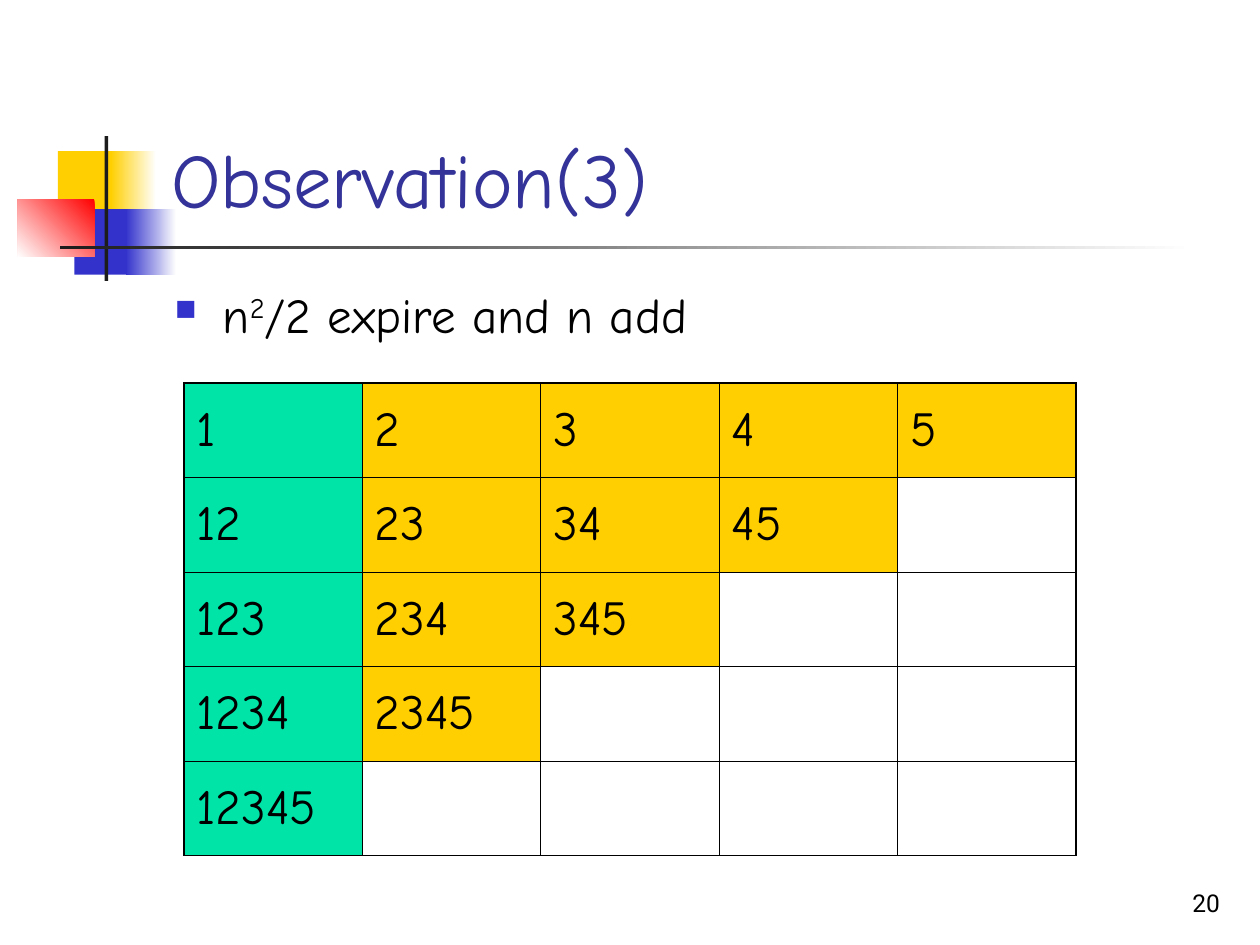
from dataclasses import dataclass

from lxml import etree
from pptx import Presentation
from pptx.dml.color import RGBColor
from pptx.enum.shapes import MSO_SHAPE
from pptx.enum.text import MSO_ANCHOR, PP_ALIGN
from pptx.oxml.ns import qn
from pptx.util import Inches, Pt

RECTANGLE = MSO_SHAPE.RECTANGLE
TOP, MIDDLE, BOTTOM = MSO_ANCHOR.TOP, MSO_ANCHOR.MIDDLE, MSO_ANCHOR.BOTTOM
LEFT, RIGHT = PP_ALIGN.LEFT, PP_ALIGN.RIGHT


@dataclass(frozen=True)
class Theme:
    """Colours, fonts and sizes of the slide."""
    yellow: str = "FFCF01"
    blue: str = "3333CC"
    red: str = "FF0000"
    green: str = "00E4A8"
    dark: str = "1C1C1C"
    white: str = "FFFFFF"
    black: str = "000000"
    title_color: str = "333399"
    font: str = "Comic Neue"
    number_font: str = "Roboto"
    title_size: int = 44
    body_size: int = 28
    number_size: int = 14
    outer_border: float = 1.08
    inner_border: float = 0.45


THEME = Theme()


def format_font(font, size, color=THEME.black, name=THEME.font):
    """Set the typeface, size and colour of a font."""
    font.name, font.size = name, Pt(size)
    font.color.rgb = RGBColor.from_string(color)


def add_block(slide, box, colors, angle=180):
    """Add a borderless rectangle with one colour or a two-colour gradient."""
    shape = slide.shapes.add_shape(RECTANGLE, *map(Inches, box))
    shape.shadow.inherit = False
    shape.line.fill.background()
    if len(colors) == 1:
        shape.fill.solid()
        shape.fill.fore_color.rgb = RGBColor.from_string(colors[0])
        return
    shape.fill.gradient()
    shape.fill.gradient_angle = angle
    for stop, color in zip(shape.fill.gradient_stops, colors):
        stop.color.rgb = RGBColor.from_string(color)


def add_text(slide, box, anchor):
    """Add an empty wrapped text box and return its first paragraph."""
    text_frame = slide.shapes.add_textbox(*map(Inches, box)).text_frame
    text_frame.word_wrap = True
    text_frame.vertical_anchor = anchor
    return text_frame.paragraphs[0]


def add_ornament(slide, box):
    """Add the coloured squares and the crossing bars beside the title."""
    left, top, width, height = box
    add_block(slide, (left + 0.32, top + 0.12, 0.48, 0.52), [THEME.yellow])
    add_block(slide, (left + 0.74, top + 0.12, 0.36, 0.52), [THEME.white, THEME.yellow])
    add_block(slide, (left + 0.45, top + 0.58, 0.46, 0.52), [THEME.blue])
    add_block(slide, (left + 0.86, top + 0.58, 0.4, 0.52), [THEME.white, THEME.blue])
    add_block(slide, (left, top + 0.5, 0.61, 0.46), [THEME.red, THEME.white], 225)
    add_block(slide, (left + 0.69, top, 0.03, height), [THEME.dark])
    add_block(slide, (left + 0.34, top + 0.87, width - 0.34, 0.03), [THEME.white, THEME.dark])


def add_line(slide, box, text, size, color, name, alignment):
    """Add one bottom-anchored line of text."""
    paragraph = add_text(slide, box, BOTTOM)
    paragraph.text = text
    paragraph.alignment = alignment
    format_font(paragraph.runs[0].font, size, color, name)


def add_bullet(slide, box):
    """Add the bulleted statement with its raised exponent."""
    paragraph = add_text(slide, box, TOP)
    properties = paragraph._p.get_or_add_pPr()
    properties.set("marL", str(Inches(0.38)))
    properties.set("indent", str(Inches(-0.38)))
    color = etree.SubElement(properties, qn("a:buClr"))
    etree.SubElement(color, qn("a:srgbClr"), val=THEME.blue)
    etree.SubElement(properties, qn("a:buSzPct"), val="60000")
    etree.SubElement(properties, qn("a:buChar"), char="■")
    for text, baseline in (("n", 0), ("2", 30000), ("/2 expire and n add", 0)):
        run = paragraph.add_run()
        run.text = text
        format_font(run.font, THEME.body_size)
        if baseline:
            run._r.get_or_add_rPr().set("baseline", str(baseline))


def set_borders(cell, outer_sides):
    """Draw the cell's borders, heavier on the table's outer sides."""
    properties = cell._tc.get_or_add_tcPr()
    for side in "LRTB":
        weight = THEME.outer_border if side in outer_sides else THEME.inner_border
        line = etree.SubElement(properties, qn(f"a:ln{side}"), w=str(Pt(weight)))
        fill = etree.SubElement(line, qn("a:solidFill"))
        etree.SubElement(fill, qn("a:srgbClr"), val=THEME.black)


def add_window_table(slide, box, count):
    """Add the triangle of digit windows, one window length per row."""
    table = slide.shapes.add_table(count, count, *map(Inches, box)).table
    table.first_row = table.horz_banding = False
    last = count - 1
    digits = "".join(str(number) for number in range(1, count + 1))
    for row in range(count):
        for column in range(count):
            cell = table.cell(row, column)
            edges = {"L": column == 0, "R": column == last, "T": row == 0, "B": row == last}
            set_borders(cell, [side for side, outer in edges.items() if outer])
            if row + column > last:
                cell.fill.background()
                continue
            cell.fill.solid()
            color = THEME.yellow if column else THEME.green
            cell.fill.fore_color.rgb = RGBColor.from_string(color)
            cell.vertical_anchor = MIDDLE
            cell.text_frame.text = digits[column:column + row + 1]
            format_font(cell.text_frame.paragraphs[0].runs[0].font, THEME.body_size)


def main():
    """Build the slide and save it."""
    presentation = Presentation()
    presentation.slide_width, presentation.slide_height = Inches(10), Inches(7.5)
    slide = presentation.slides.add_slide(presentation.slide_layouts[6])
    add_ornament(slide, (0.14, 1.08, 9.34, 1.15))
    add_line(slide, (1.26, 0.23, 8.52, 1.6), "Observation(3)",
             THEME.title_size, THEME.title_color, THEME.font, LEFT)
    add_window_table(slide, (1.46, 3.04, 7.08, 3.75), 5)
    add_bullet(slide, (1.29, 2.21, 7.57, 4.5))
    add_line(slide, (7.7, 6.83, 2.08, 0.5), "20",
             THEME.number_size, THEME.black, THEME.number_font, RIGHT)
    presentation.save("out.pptx")


if __name__ == "__main__":
    main()
